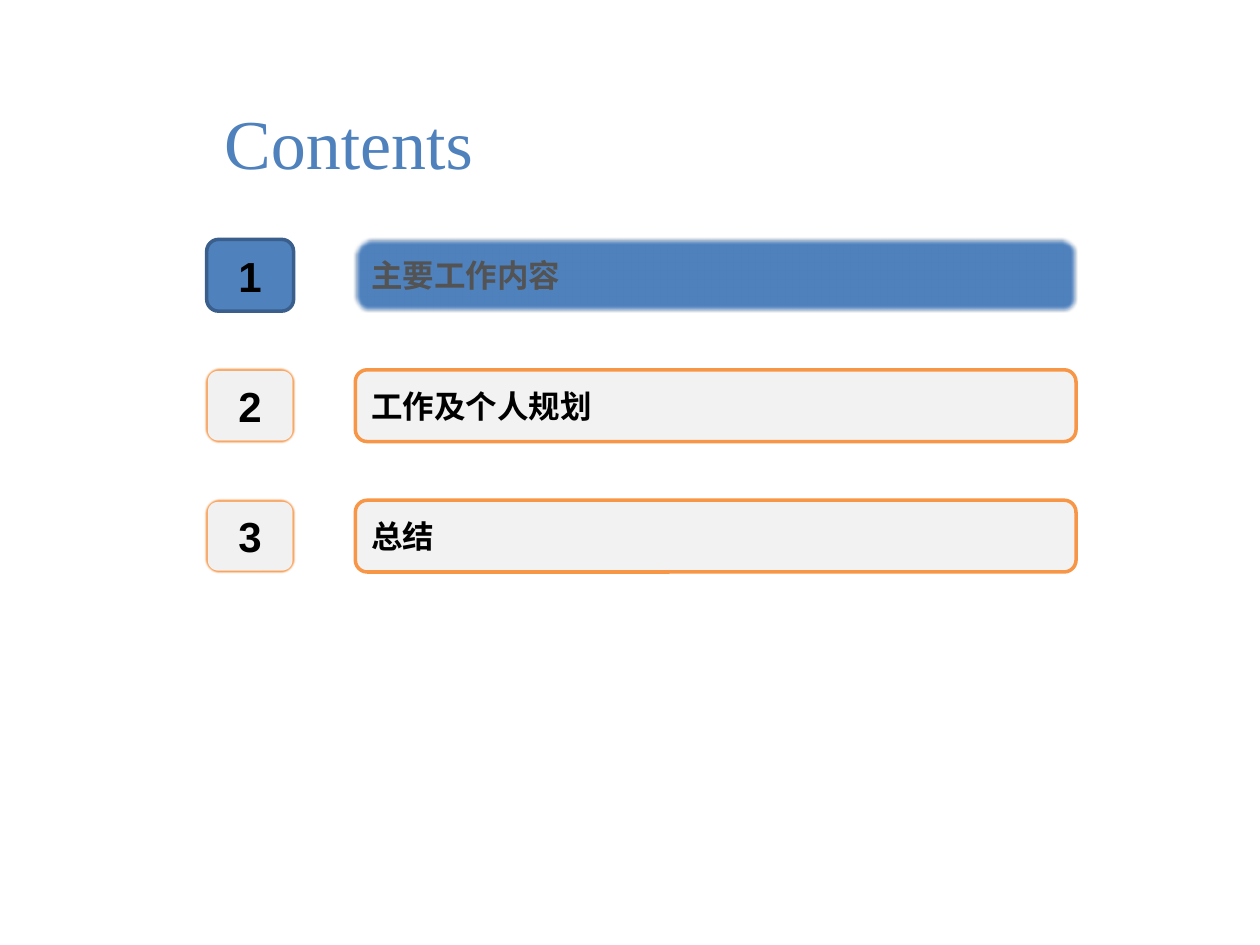
from pptx import Presentation
from pptx.dml.color import RGBColor as RGB
from pptx.enum.shapes import MSO_SHAPE as Shape
from pptx.enum.text import MSO_ANCHOR as Anchor, PP_ALIGN as Align
from pptx.oxml.ns import qn
from pptx.util import Inches, Pt
from lxml.etree import SubElement

HUES = {
    "blue": "4F81BD",
    "navy": "3A5F8C",
    "pale": "F2F2F2",
    "orange": "F79646",
    "black": "000000",
    "gray": "535353",
}
TOPICS = ["主要工作内容", "工作及个人规划", "总结"]


def hue(name):
    return RGB.from_string(HUES[name])


def write(frame, text, size, face, color, bold=False, align=Align.LEFT, pads=(0, 0, 0, 0)):
    frame.word_wrap = True
    frame.margin_left, frame.margin_top, frame.margin_right, frame.margin_bottom = map(Inches, pads)
    line = frame.paragraphs[0]
    line.text = text
    line.alignment = align
    font = line.font
    font.size, font.name, font.bold = Pt(size), face, bold
    font.color.rgb = hue(color)


def add_title(slide, left, top, width, height):
    box = slide.shapes.add_textbox(*map(Inches, (left, top, width, height)))
    write(box.text_frame, "Contents", 40, "Times New Roman", "blue", pads=(0, 0.06, 0, 0))


def add_card(slide, box, fill, edge, soft):
    card = slide.shapes.add_shape(Shape.ROUNDED_RECTANGLE, *map(Inches, box))
    card.shadow.inherit = False
    card.fill.solid()
    card.fill.fore_color.rgb = hue(fill)
    card.line.color.rgb = hue(edge)
    card.line.width = Pt(2)
    if soft:
        effects = card.element.spPr.find(qn("a:effectLst"))
        SubElement(effects, qn("a:softEdge"), rad=str(Pt(soft)))
    frame = card.text_frame
    frame.vertical_anchor = Anchor.MIDDLE
    return frame


def add_row(slide, left, top, width, height, number, topic, active):
    fill, edge = ("blue", "navy") if active else ("pale", "orange")
    tab, start = 0.69, 1.18
    badge = add_card(slide, (left, top, tab, height), fill, edge, 0 if active else 1)
    write(badge, str(number), 24, "Arial", "black", True, Align.CENTER, (0.04, 0, 0.04, 0))
    bar = add_card(slide, (left + start, top, width - start, height), fill, edge, 2.5 if active else 0)
    write(bar, topic, 18, "Arial", "gray" if active else "black", True, pads=(0.1, 0, 0, 0))


def add_list(slide, left, top, width, height):
    depth = 0.57
    step = (height - depth) / (len(TOPICS) - 1)
    for i, topic in enumerate(TOPICS):
        add_row(slide, left, top + i * step, width, depth, i + 1, topic, i == 0)


def main():
    deck = Presentation()
    deck.slide_width, deck.slide_height = Inches(10), Inches(7.5)
    slide = deck.slides.add_slide(deck.slide_layouts[6])
    add_title(slide, 1.78, 0.73, 7.23, 0.88)
    add_list(slide, 1.64, 1.9, 6.9, 2.64)
    deck.save("out.pptx")


if __name__ == "__main__":
    main()
